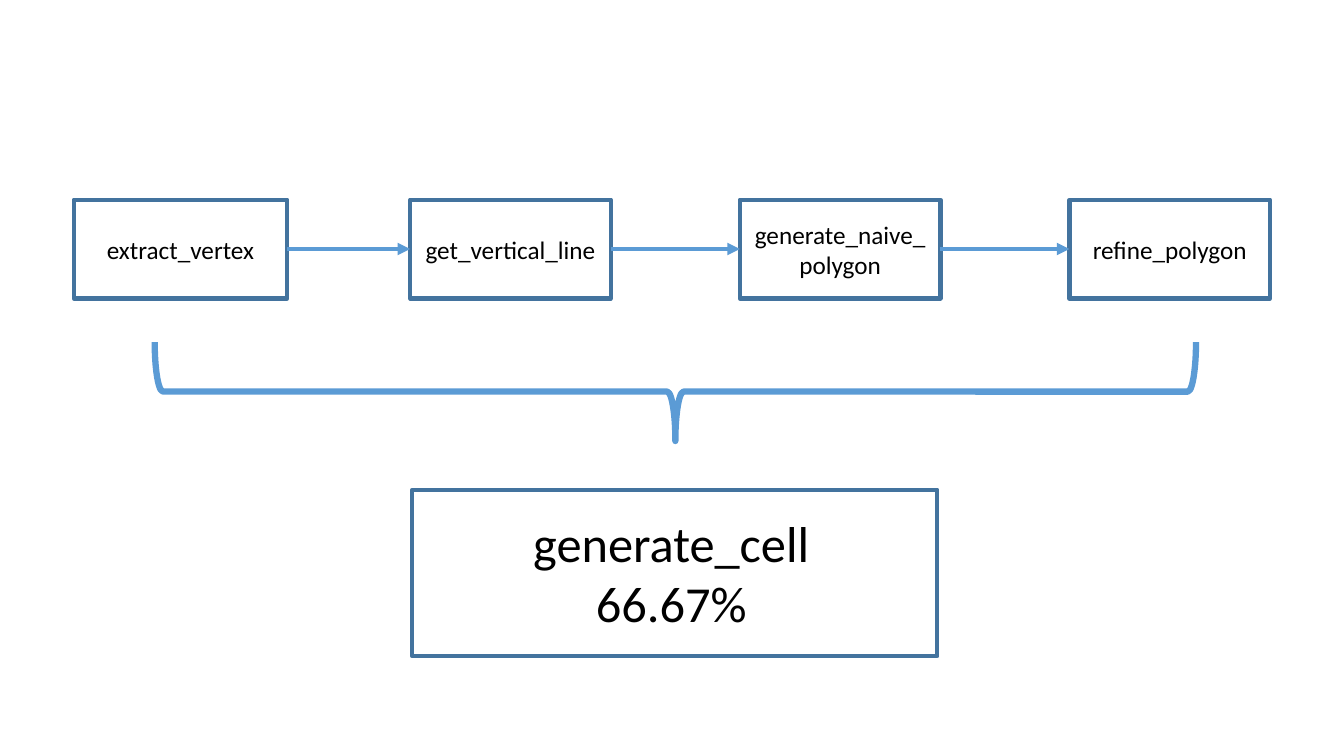
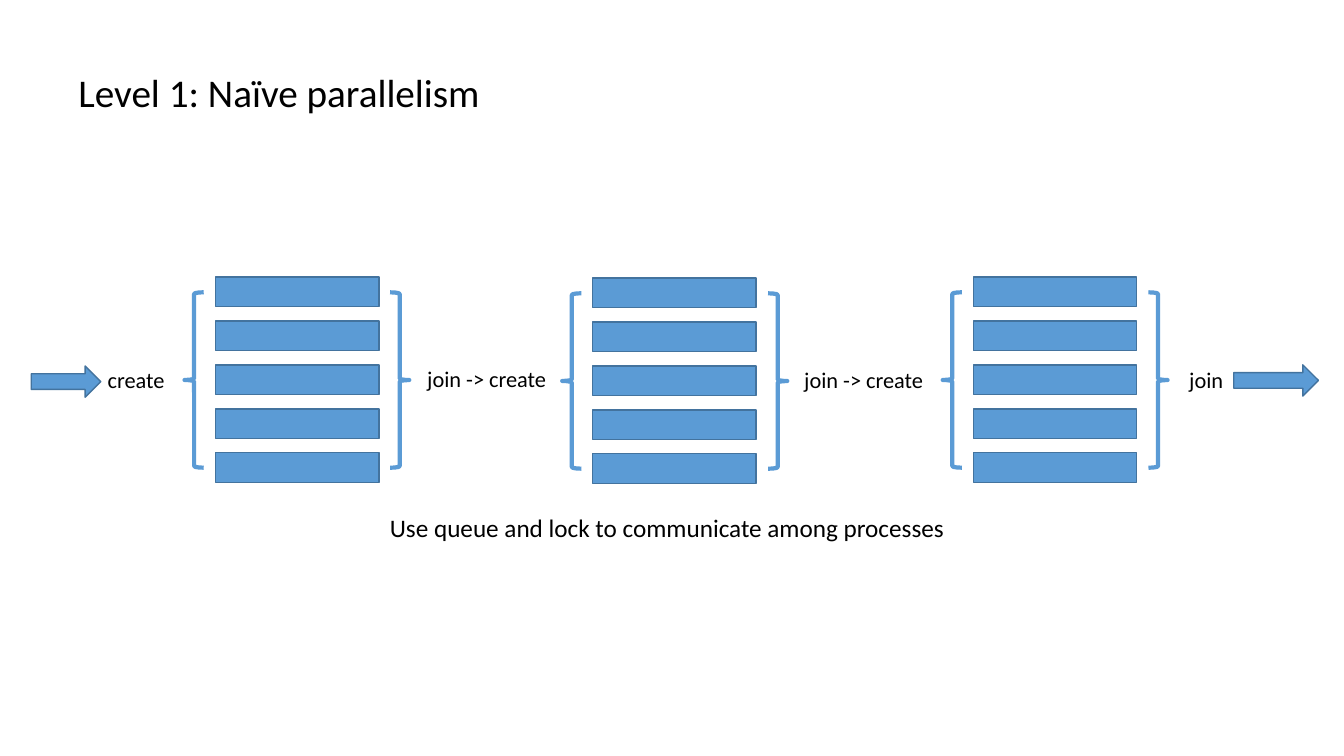
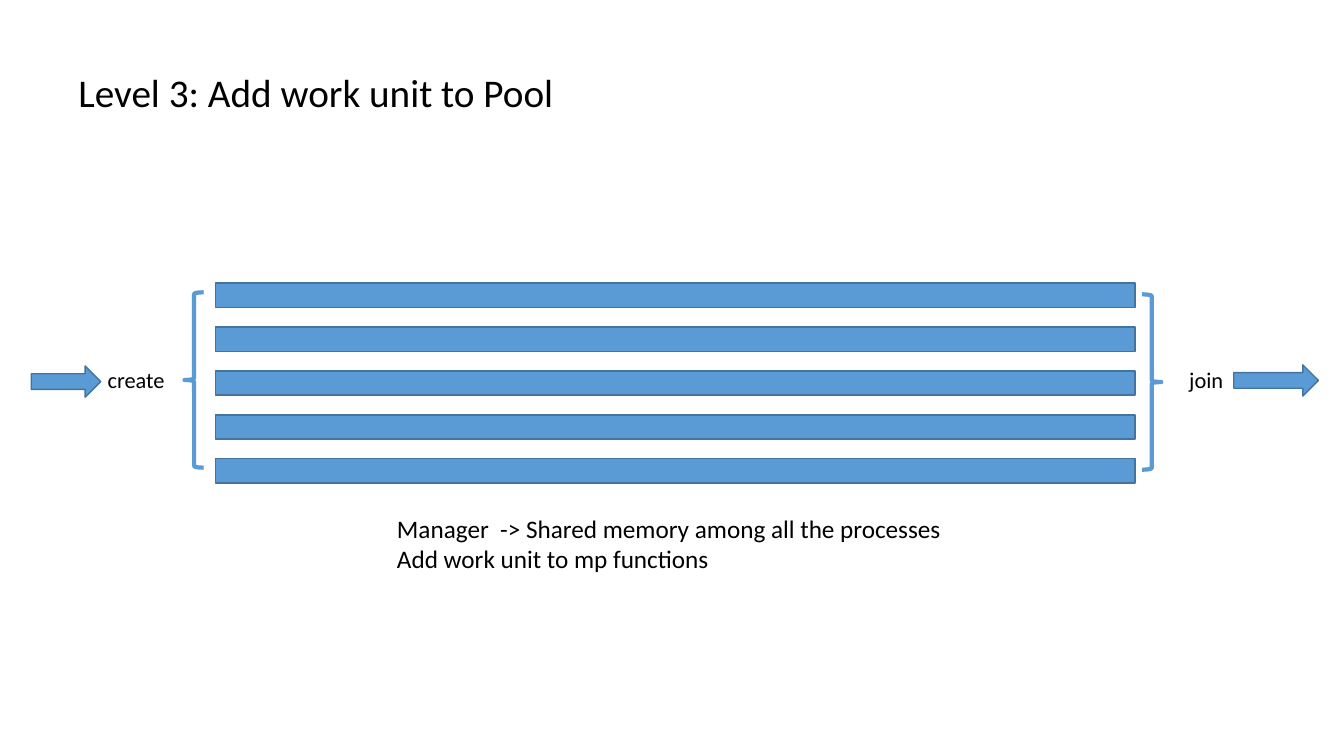
"""Builds three slides on a cell generation pipeline and its parallel versions."""
from lxml import etree
from pptx import Presentation
from pptx.dml.color import RGBColor
from pptx.enum import shapes, text
from pptx.oxml.ns import qn
from pptx.util import Pt

FONT, BLACK, WHITE, BLUE, EDGE = "Calibri", "000000", "FFFFFF", "5B9BD5", "43739E"
KIND = shapes.MSO_SHAPE
MID = text.PP_ALIGN.CENTER

STEPS = [
    ("extract_vertex", 52.6, 152.6),
    ("get_vertical_line", 293, 143.3),
    ("generate_naive_polygon", 528.5, 143.3),
    ("refine_polygon", 763.9, 143.3),
]
TOTAL = ["generate_cell", "66.67%"]
ENDS = [("create", (69.8, 257.8, 61.2, 26.6)), ("join", (842.4, 257.8, 48.2, 26.6))]
ARROWS = [(22.3, 261.4, 49.7, 22.3), (881.3, 260.6, 60.5, 22.3)]
BARS, PITCH = 5, 31.35
BRACE = (13.7, 125.3)
POOLS = [
    {
        "title": "Level 1: Naïve parallelism",
        "stacks": [(154.1, 198, 116.8, 21.1), (423.4, 198.7, 116.8, 21.1),
                   (695.2, 198, 116.8, 21.1)],
        "braces": [(131.8, 208.8, 278.6, 208.8), (401.6, 209.5, 548.6, 209.5),
                   (673.4, 208.8, 820.3, 208.8)],
        "joins": [("join -> create", (298.1, 257.4, 113, 26.6), True),
                  ("join -> create", (567.4, 257.8, 100.8, 26.6), False)],
        "note": ["Use queue and lock to communicate among processes"],
        "spot": (271.4, 362.2, 415.4, 29.1),
    },
    {
        "title": "Level 3: Add work unit to Pool",
        "stacks": [(154.1, 202.3, 656.6, 17.3)],
        "braces": [(131.8, 208.8, 815.8, 210.2)],
        "joins": [],
        "note": ["Manager  -> Shared memory among all the processes",
                 "Add work unit to mp functions"],
        "spot": (276.5, 362.9, 407.5, 50.9),
    },
]


def hue(code):
    """Turn a hex string into a colour."""
    return RGBColor.from_string(code)


def write(frame, lines, size=18, align=None, wrap=True):
    """Fill a text frame with one paragraph per line."""
    frame.word_wrap = wrap
    frame.text = "\n".join(lines)
    for para in frame.paragraphs:
        para.alignment = align
        para.font.name, para.font.size = FONT, Pt(size)
        para.font.color.rgb = hue(BLACK)


def label(slide, lines, at, **style):
    """Add a text box that grows with its text."""
    frame = slide.shapes.add_textbox(*map(Pt, at)).text_frame
    write(frame, lines, **style)
    frame.auto_size = text.MSO_AUTO_SIZE.SHAPE_TO_FIT_TEXT


def draw(slide, kind, at, fill=None, line=EDGE, width=1, turn=0):
    """Add a preset shape."""
    shape = slide.shapes.add_shape(kind, *map(Pt, at))
    shape.shadow.inherit = False
    shape.rotation = turn
    if fill:
        shape.fill.solid()
        shape.fill.fore_color.rgb = hue(fill)
    else:
        shape.fill.background()
    shape.line.color.rgb = hue(line)
    shape.line.width = Pt(width)
    return shape


def link(slide, start, end):
    """Join two boxes with an arrow from right side to left side."""
    wire = slide.shapes.add_connector(shapes.MSO_CONNECTOR.STRAIGHT, 0, 0, 0, 0)
    wire.begin_connect(start, 3)
    wire.end_connect(end, 1)
    wire.line.color.rgb = hue(BLUE)
    wire.line.width = Pt(3)
    etree.SubElement(wire.line._get_or_add_ln(), qn("a:tailEnd"), type="triangle")
    etree.SubElement(wire._element.spPr, qn("a:effectLst"))


def flow(slide):
    """Draw the chain of steps and the total below it."""
    boxes = []
    for name, left, width in STEPS:
        box = draw(slide, KIND.RECTANGLE, (left, 142.6, width, 70.6), WHITE, width=3)
        write(box.text_frame, [name], align=MID)
        box.text_frame.vertical_anchor = text.MSO_ANCHOR.MIDDLE
        boxes.append(box)
    for start, end in zip(boxes, boxes[1:]):
        link(slide, start, end)
    draw(slide, KIND.RIGHT_BRACE, (447.1, -92.2, 70.6, 743.8), line=BLUE, width=4.5, turn=90)
    draw(slide, KIND.RECTANGLE, (294.5, 349.9, 375.1, 118.8), WHITE, width=3)
    label(slide, TOTAL, (373, 362.2, 213.1, 94.3), size=36, align=MID, wrap=False)


def pool(slide, data):
    """Draw stacks of parallel bars between braces."""
    label(slide, [data["title"]], (49, 45.4, 371.5, 41), size=28)
    for left, top, width, high in data["stacks"]:
        for row in range(BARS):
            draw(slide, KIND.RECTANGLE, (left, top + row * PITCH, width, high), BLUE)
    for left, top, right, low in data["braces"]:
        draw(slide, KIND.LEFT_BRACE, (left, top, *BRACE), line=BLUE, width=3)
        draw(slide, KIND.LEFT_BRACE, (right, low, *BRACE), line=BLUE, width=3, turn=180)
    for at in ARROWS:
        draw(slide, KIND.RIGHT_ARROW, at, BLUE)
    for name, at in ENDS:
        label(slide, [name], at, size=16)
    for name, at, wrap in data["joins"]:
        label(slide, [name], at, size=16, wrap=wrap)
    label(slide, data["note"], data["spot"], wrap=False)


def main():
    """Build and save the deck."""
    deck = Presentation()
    deck.slide_width, deck.slide_height = Pt(960), Pt(540)
    blank = deck.slide_layouts[6]
    flow(deck.slides.add_slide(blank))
    for data in POOLS:
        pool(deck.slides.add_slide(blank), data)
    deck.save("out.pptx")


if __name__ == "__main__":
    main()
